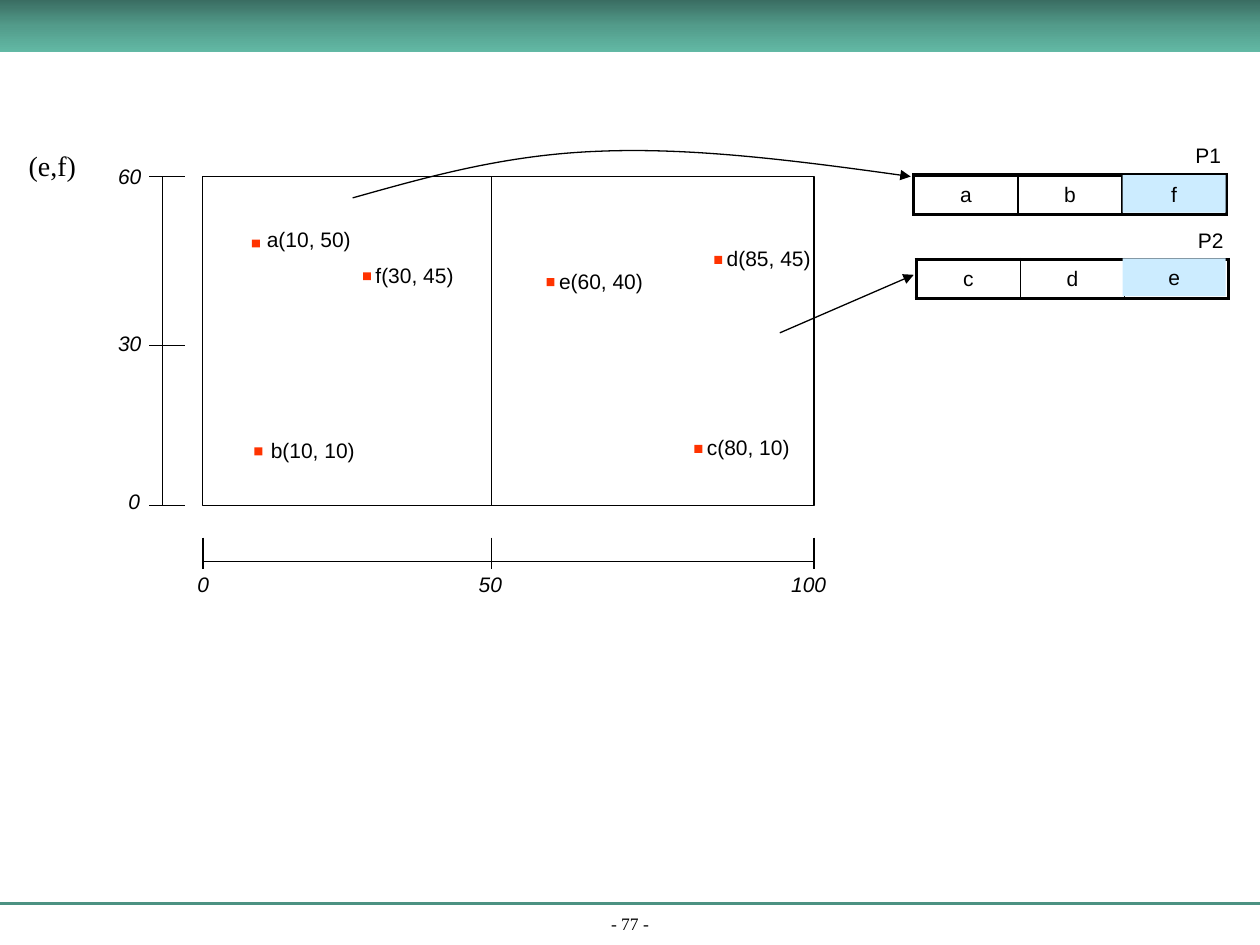
import copy

import lxml.etree
import pptx
import pptx.dml.color
import pptx.enum.shapes
import pptx.enum.text
import pptx.oxml.ns
import pptx.util

Cm = pptx.util.Cm
Pt = pptx.util.Pt
RGBColor = pptx.dml.color.RGBColor
ALIGN = pptx.enum.text.PP_ALIGN
ANCHOR = pptx.enum.text.MSO_ANCHOR
RECT = pptx.enum.shapes.MSO_SHAPE.RECTANGLE
qn = pptx.oxml.ns.qn

BLACK = RGBColor(0x00, 0x00, 0x00)
GREEN = RGBColor(0x4C, 0x92, 0x82)
BAR = (RGBColor(0x3A, 0x6D, 0x62), RGBColor(0x53, 0x9C, 0x8B), RGBColor(0x62, 0xB9, 0xA5))
RED = RGBColor(0xFF, 0x33, 0x00)
PALE_BLUE = RGBColor(0xCC, 0xEC, 0xFF)

LEFT, MIDDLE, RIGHT = 4.09, 9.91, 16.41
TOP, BOTTOM = 3.56, 10.19
CELL_W, CELL_H = 2.1, 0.79


def format_text(tf, text, size=12, font="Arial", italic=False, align=ALIGN.LEFT):
    p = tf.paragraphs[0]
    p.text = text
    p.alignment = align
    p.font.size = Pt(size)
    p.font.name = font
    p.font.italic = italic
    p.font.color.rgb = BLACK


def add_label(s, text, x, y, w, h=0.76, **style):
    tf = s.shapes.add_textbox(Cm(x), Cm(y), Cm(w), Cm(h)).text_frame
    tf.word_wrap = False
    tf.auto_size = pptx.enum.text.MSO_AUTO_SIZE.SHAPE_TO_FIT_TEXT
    format_text(tf, text, **style)


def add_rect(s, x, y, w, h, fill=None, line=None):
    sp = s.shapes.add_shape(RECT, Cm(x), Cm(y), Cm(w), Cm(h))
    sp.shadow.inherit = False
    if fill is None:
        sp.fill.background()
    else:
        sp.fill.solid()
        sp.fill.fore_color.rgb = fill
    if line is None:
        sp.line.fill.background()
    else:
        sp.line.color.rgb = line
        sp.line.width = Pt(0.75)
    return sp


def add_bar(s):
    sp = add_rect(s, 0, 0, 25.4, 1.06)
    sp.fill.gradient()
    sp.fill.gradient_angle = 270
    stops = sp._element.spPr.find(".//" + qn("a:gsLst"))
    stops.insert(1, copy.deepcopy(stops[0]))
    for i, stop in enumerate(sp.fill.gradient_stops):
        stop.color.rgb = BAR[i]
        stop.position = i / 2


def add_arrowhead(sp):
    ln = sp.line._get_or_add_ln()
    lxml.etree.SubElement(ln, qn("a:tailEnd"), type="triangle")


def add_line(s, x1, y1, x2, y2, color=BLACK, width=0.75):
    line = s.shapes.add_connector(
        pptx.enum.shapes.MSO_CONNECTOR.STRAIGHT, Cm(x1), Cm(y1), Cm(x2), Cm(y2))
    line.line.color.rgb = color
    line.line.width = Pt(width)
    lxml.etree.SubElement(line._element.spPr, qn("a:effectLst"))
    return line


def add_curve(s, points):
    start, *rest = [(Cm(x), Cm(y)) for x, y in points]
    builder = s.shapes.build_freeform(*start)
    builder.add_line_segments(rest, close=False)
    sp = builder.convert_to_shape()
    sp.shadow.inherit = False
    sp.fill.background()
    sp.line.color.rgb = BLACK
    sp.line.width = Pt(0.75)
    segments = sp._element.findall(".//" + qn("a:lnTo"))
    outline = segments[0].getparent()
    for i in range(0, len(segments), 3):
        curve = lxml.etree.SubElement(outline, qn("a:cubicBezTo"))
        for segment in segments[i:i + 3]:
            curve.append(segment[0])
            outline.remove(segment)
    return sp


def set_borders(cell, **widths):
    tcPr = cell._tc.get_or_add_tcPr()
    for side, width in widths.items():
        ln = lxml.etree.SubElement(tcPr, qn("a:ln" + side), w=str(Pt(width)))
        fill = lxml.etree.SubElement(ln, qn("a:solidFill"))
        lxml.etree.SubElement(fill, qn("a:srgbClr"), val=str(BLACK))


def add_page(s, x, y, entries):
    table = s.shapes.add_table(1, 3, Cm(x), Cm(y), Cm(3 * CELL_W), Cm(CELL_H)).table
    table.first_row = table.horz_banding = False
    for i in range(3):
        table.columns[i].width = Cm(CELL_W)
        cell = table.cell(0, i)
        cell.margin_top = cell.margin_bottom = 0
        cell.vertical_anchor = ANCHOR.MIDDLE
        set_borders(cell, L=2.25 if i == 0 else 1, R=2.25 if i == 2 else 1, T=2.25, B=2.25)
        cell.fill.background()
        if i < 2:
            format_text(cell.text_frame, entries[i], align=ALIGN.CENTER)


def add_new_entry(s, text, y):
    sp = add_rect(s, 22.63, y, 2.08, 0.76, PALE_BLUE)
    sp.text_frame.vertical_anchor = ANCHOR.MIDDLE
    format_text(sp.text_frame, text, align=ALIGN.CENTER)


def add_point(s, text, x, y, dx=0, dy=-0.33):
    add_rect(s, x, y, 0.16, 0.16, RED)
    add_label(s, text, x + dx, y + dy, 2.2)


def add_axes(s):
    add_line(s, LEFT, 11.32, RIGHT, 11.32)
    for text, tick, x, w in (("0", LEFT, 3.73, 0.74), ("50", MIDDLE, 9.4, 0.99),
                             ("100", RIGHT, 15.7, 1.22)):
        add_line(s, tick, 10.84, tick, 11.47)
        add_label(s, text, x, 11.4, w, italic=True)
    add_line(s, 3.28, TOP, 3.28, BOTTOM)
    for text, tick, x, y, w in (("60", TOP, 2.13, 3.18, 0.99), ("30", 6.96, 2.13, 6.53, 0.99),
                                ("0", BOTTOM, 2.34, 9.73, 0.74)):
        add_line(s, 3.01, tick, 3.73, tick)
        add_label(s, text, x, y, w, italic=True)


def main():
    prs = pptx.Presentation()
    prs.slide_width, prs.slide_height = Cm(25.4), Cm(19.05)
    s = prs.slides.add_slide(prs.slide_layouts[6])

    add_line(s, 0, 18.21, 25.4, 18.21, GREEN, 1.5)
    footer = s.shapes.add_textbox(0, Cm(18.39), Cm(25.4), Cm(0.56)).text_frame
    footer.word_wrap = True
    footer.vertical_anchor = ANCHOR.BOTTOM
    format_text(footer, "- 77 -", 10, "Times New Roman", align=ALIGN.CENTER)
    add_bar(s)

    add_rect(s, LEFT, TOP, RIGHT - LEFT, BOTTOM - TOP, line=BLACK)
    add_line(s, MIDDLE, TOP, MIDDLE, BOTTOM)
    add_axes(s)

    add_point(s, "a(10, 50)", 5.08, 4.83, 0.05, -0.38)
    add_point(s, "b(10, 10)", 5.13, 9.02, 0.08)
    add_point(s, "c(80, 10)", 14, 8.97)
    add_point(s, "d(85, 45)", 14.4, 5.16)
    add_point(s, "e(60, 40)", 11.02, 5.61)
    add_point(s, "f(30, 45)", 7.32, 5.49)

    add_page(s, 18.42, 3.53, "ab")
    add_new_entry(s, "f", 3.53)
    add_label(s, "P1", 23.85, 2.74, 1.02)
    add_page(s, 18.47, 5.23, "cd")
    add_new_entry(s, "e", 5.21)
    add_label(s, "P2", 23.9, 4.47, 1.02)

    add_arrowhead(add_curve(s, [
        (7.11, 3.99), (8.64, 3.56), (10.19, 3.12), (12.07, 3.05),
        (13.94, 2.97), (16.15, 3.25), (18.36, 3.56)]))
    add_arrowhead(add_line(s, 15.72, 6.71, 18.42, 5.54))
    add_label(s, "(e,f)", 0.33, 2.87, 1.47, 0.94, size=16, font="Times New Roman")

    prs.save("out.pptx")


if __name__ == "__main__":
    main()
